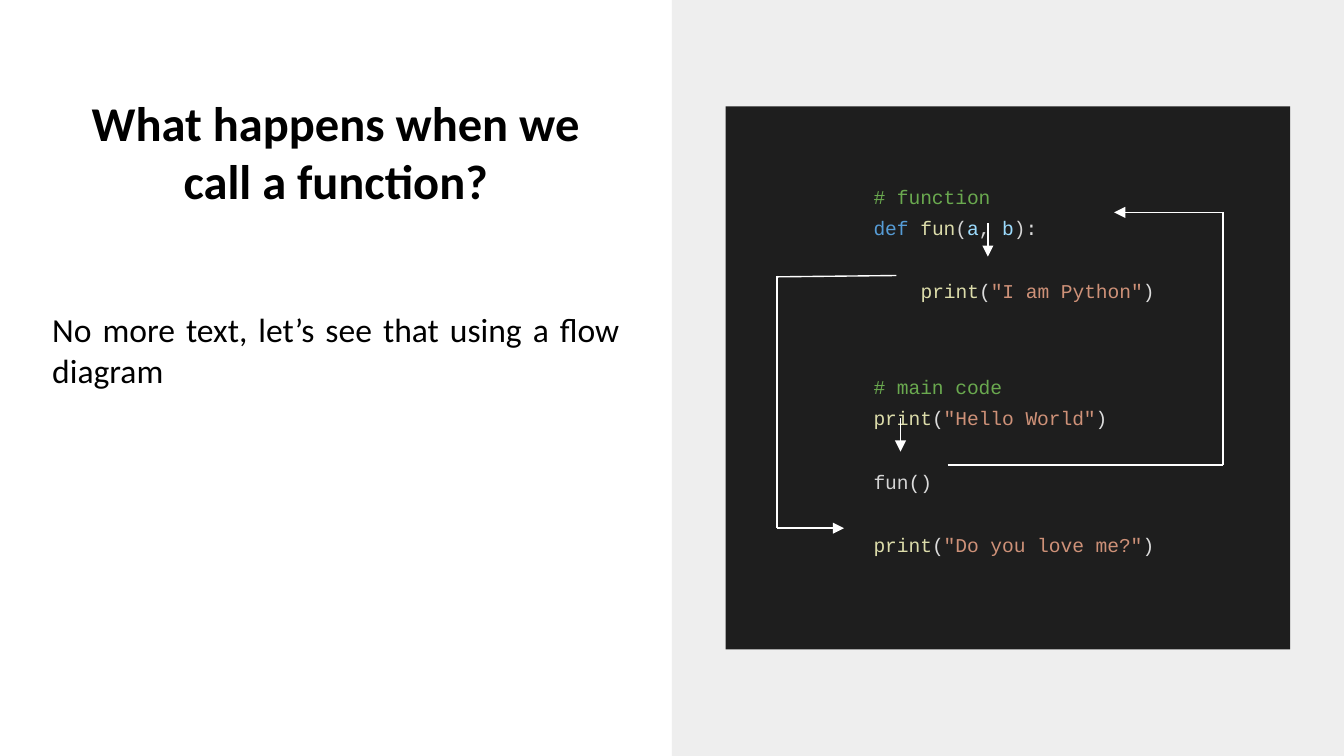
from pptx import Presentation, util as u
from pptx.dml.color import RGBColor
from pptx.enum import shapes, text
from pptx.oxml import parse_xml
from pptx.oxml.ns import nsdecls, qn

WHITE = RGBColor(0xFF, 0xFF, 0xFF)
BLACK = RGBColor(0x00, 0x00, 0x00)
PANEL = RGBColor(0xEE, 0xEE, 0xEE)
EDITOR = RGBColor(0x1E, 0x1E, 0x1E)
COMMENT = RGBColor(0x6A, 0xA9, 0x4F)
KEYWORD = RGBColor(0x56, 0x9C, 0xD6)
PLAIN = RGBColor(0xD4, 0xD4, 0xD4)
CALL = RGBColor(0xDC, 0xDC, 0xAA)
ARGUMENT = RGBColor(0x9C, 0xDC, 0xFE)
BRACKET = RGBColor(0xDC, 0xDC, 0xDC)
STRING = RGBColor(0xCE, 0x91, 0x78)

presentation = Presentation()
presentation.slide_width = u.Inches(10)
presentation.slide_height = presentation.slide_width * 9 // 16
slide = presentation.slides.add_slide(presentation.slide_layouts[6])
COLUMN = ROW = presentation.slide_width / 100


def grid(*cells):
    return [round(cell * size) for cell, size in zip(cells, (COLUMN, ROW) * 2)]


def write(paragraph, words, font="Calibri", size=18, color=BLACK, bold=False):
    run = paragraph.add_run()
    run.text = words
    run.font.name = font
    run.font.size = u.Pt(size)
    run.font.bold = bold
    run.font.color.rgb = color


rectangles = []
for cells, color in (((50, 0, 50, 56.25), PANEL), ((54, 7.92, 42, 40.4), EDITOR)):
    shape = slide.shapes.add_shape(shapes.MSO_SHAPE.RECTANGLE, *grid(*cells))
    shape.shadow.inherit = False
    shape.fill.solid()
    shape.fill.fore_color.rgb = color
    shape.line.fill.background()
    rectangles.append(shape)
editor = rectangles[-1]

for cells, words, alignment, anchor, style in (
    ((2.9, 5.25, 44.2, 12), "What happens when we call a function?",
     text.PP_ALIGN.CENTER, text.MSO_ANCHOR.MIDDLE, {"size": 26, "bold": True}),
    ((2.9, 22, 44.2, 13.5), "No more text, let’s see that using a flow diagram",
     text.PP_ALIGN.JUSTIFY, text.MSO_ANCHOR.TOP, {}),
):
    frame = slide.shapes.add_textbox(*grid(*cells)).text_frame
    frame.word_wrap = True
    frame.vertical_anchor = anchor
    frame.margin_left = frame.margin_right = round(COLUMN)
    frame.margin_top = frame.margin_bottom = round(ROW)
    frame.paragraphs[0].alignment = alignment
    write(frame.paragraphs[0], words, **style)

BLANK_LINE = 17.5
code_lines = (
    (0, 0, [("# function", COMMENT)]),
    (0, 0, [("def", KEYWORD), (" ", PLAIN), ("fun", CALL), ("(", PLAIN), ("a", ARGUMENT),
            (", ", PLAIN), ("b", ARGUMENT), (")", PLAIN), (":", BRACKET)]),
    (1, 3.5, [("print", CALL), ("(", BRACKET), ('"I am Python"', STRING), (")", BRACKET)]),
    (2, 0, [("# main code", COMMENT)]),
    (0, 0, [("print", CALL), ("(", BRACKET), ('"Hello World"', STRING), (")", BRACKET)]),
    (1, 0, [("fun", PLAIN), ("()", BRACKET)]),
    (1, 0, [("print", CALL), ("(", BRACKET), ('"Do you love me?"', STRING), (")", BRACKET)]),
)
frame = editor.text_frame
frame.word_wrap = True
frame.vertical_anchor = text.MSO_ANCHOR.TOP
frame.margin_left = round(11 * COLUMN)
frame.margin_right = frame.margin_bottom = round(COLUMN)
frame.margin_top = round(5.3 * ROW)
for number, (blanks, indent, pieces) in enumerate(code_lines):
    paragraph = frame.add_paragraph() if number else frame.paragraphs[0]
    paragraph.alignment = text.PP_ALIGN.LEFT
    paragraph.line_spacing = u.Pt(16.5)
    paragraph.space_before = u.Pt(blanks * BLANK_LINE)
    paragraph._p.get_or_add_pPr().set("marL", str(round(indent * COLUMN)))
    for words, color in pieces:
        write(paragraph, words, font="Courier New", size=10.5, color=color)

for cells, arrow in (
    ((67, 31.1, 67, 33.6), True),
    ((70.5, 34.6, 91, 34.6), False),
    ((91, 15.8, 91, 34.6), False),
    ((91, 15.8, 82.9, 15.8), True),
    ((57.8, 20.5, 57.8, 39.3), False),
    ((57.8, 39.3, 62.8, 39.3), True),
    ((73.5, 16.6, 73.5, 19.1), True),
    ((66.7, 20.5, 57.8, 20.6), False),
):
    connector = slide.shapes.add_connector(shapes.MSO_CONNECTOR.STRAIGHT, *grid(*cells))
    connector.line.color.rgb = WHITE
    connector.line.width = u.Pt(0.75)
    if arrow:
        head = parse_xml(f'<a:tailEnd {nsdecls("a")} type="triangle" w="med" len="med"/>')
        connector.line._get_or_add_ln().append(head)
    connector._element.spPr.append(connector._element.makeelement(qn("a:effectLst")))

presentation.save("out.pptx")
